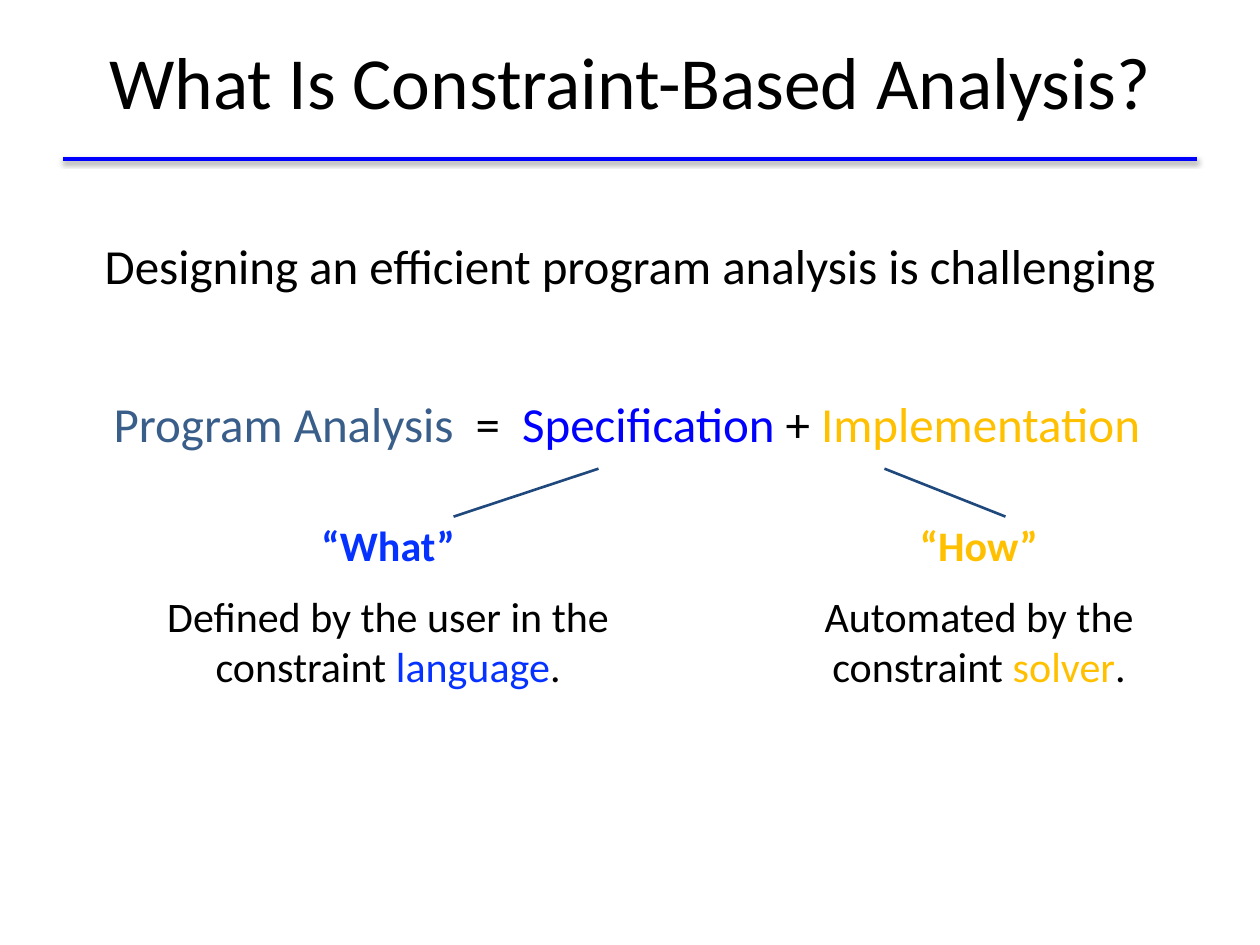
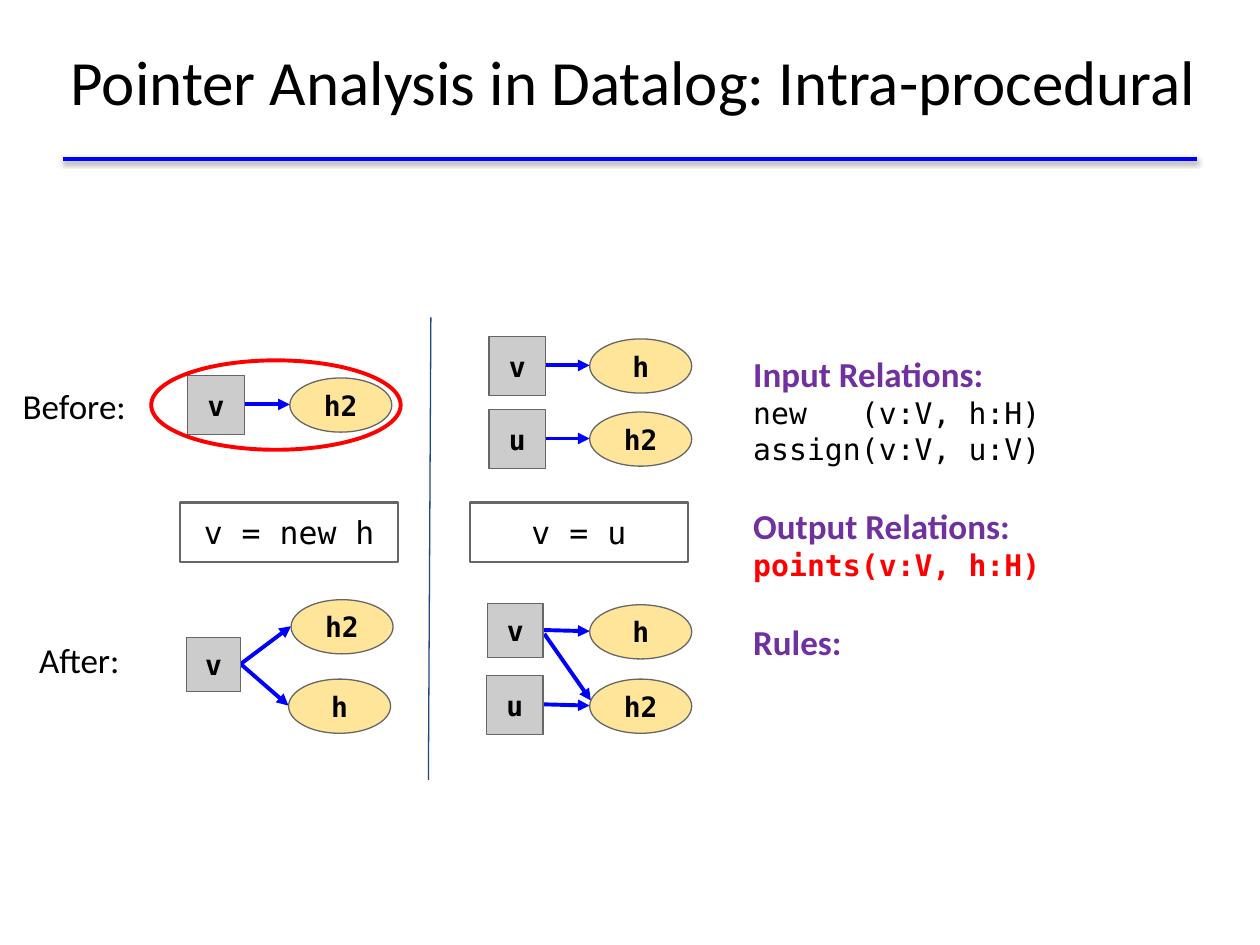
"""Build two slides on constraint-based analysis and pointer analysis in Datalog."""
import lxml.etree
import pptx
import pptx.dml.color
import pptx.enum.shapes
import pptx.enum.text
import pptx.oxml
import pptx.oxml.ns
import pptx.util

PX = 9144
RGB = pptx.dml.color.RGBColor
BLACK = RGB(0x00, 0x00, 0x00)
WHITE = RGB(0xFF, 0xFF, 0xFF)
BLUE = RGB(0x00, 0x00, 0xFF)
LANGUAGE_BLUE = RGB(0x05, 0x32, 0xFF)
STEEL = RGB(0x39, 0x5E, 0x8A)
NAVY = RGB(0x1F, 0x49, 0x7D)
GOLD = RGB(0xFF, 0xC0, 0x00)
RED = RGB(0xFF, 0x00, 0x00)
PURPLE = RGB(0x70, 0x30, 0xA0)
VARIABLE_GRAY = RGB(0xCC, 0xCC, 0xCC)
HEAP_YELLOW = RGB(0xFF, 0xE5, 0x99)
OUTLINE = RGB(0x66, 0x66, 0x66)

SHAPE = pptx.enum.shapes.MSO_SHAPE
ALIGN = pptx.enum.text.PP_ALIGN
ANCHOR = pptx.enum.text.MSO_ANCHOR
Pt = pptx.util.Pt
SANS, MONO = "Calibri", "DejaVu Sans Mono"
FORMATS = {
    "long title": {"name": SANS, "size": Pt(36), "bold": False},
    "title": {"name": SANS, "size": Pt(42), "bold": False},
    "statement": {"name": SANS, "size": Pt(28), "bold": False},
    "role": {"name": SANS, "size": Pt(24), "bold": True},
    "detail": {"name": SANS, "size": Pt(24), "bold": False},
    "stage": {"name": SANS, "size": Pt(20), "bold": False},
    "heading": {"name": SANS, "size": Pt(20), "bold": True},
    "relation": {"name": MONO, "size": Pt(17), "bold": False},
    "output": {"name": MONO, "size": Pt(17), "bold": True},
    "node": {"name": MONO, "size": Pt(16), "bold": True},
    "code": {"name": MONO, "size": Pt(18), "bold": False},
}
SHADOW = (
    '<a:outerShdw {} blurRad="40000" dist="20000" dir="5400000" rotWithShape="0">'
    '<a:srgbClr val="000000"><a:alpha val="38000"/></a:srgbClr></a:outerShdw>'
).format(pptx.oxml.ns.nsdecls("a"))


def write(shape, paragraphs, align=ALIGN.CENTER, anchor=ANCHOR.TOP, inset=10):
    frame = shape.text_frame
    settings = {"word_wrap": True, "auto_size": pptx.enum.text.MSO_AUTO_SIZE.NONE,
                "vertical_anchor": anchor, "margin_left": 10 * PX, "margin_right": 10 * PX,
                "margin_top": inset * PX, "margin_bottom": inset * PX}
    for attribute, value in settings.items():
        setattr(frame, attribute, value)
    for index, (gap, runs) in enumerate(paragraphs):
        paragraph = frame.add_paragraph() if index else frame.paragraphs[0]
        paragraph.alignment = align
        paragraph.space_before = Pt(gap)
        for text, style, color in runs:
            run = paragraph.add_run()
            run.text = text
            for attribute, value in FORMATS[style].items():
                setattr(run.font, attribute, value)
            run.font.color.rgb = color


def connect(slide, ends, color, width, arrow=False, shadow=False):
    line = slide.shapes.add_connector(
        pptx.enum.shapes.MSO_CONNECTOR.STRAIGHT, *(end * PX for end in ends))
    line.line.color.rgb = color
    line.line.width = Pt(width)
    if arrow:
        tail = lxml.etree.SubElement(line.line._get_or_add_ln(), pptx.oxml.ns.qn("a:tailEnd"))
        tail.set("type", "triangle")
    effects = lxml.etree.SubElement(line.element.spPr, pptx.oxml.ns.qn("a:effectLst"))
    if shadow:
        effects.append(pptx.oxml.parse_xml(SHADOW))
    return line


deck = pptx.Presentation()
deck.slide_width, deck.slide_height = 1000 * PX, 750 * PX
overview = deck.slides.add_slide(deck.slide_layouts[1])
pointers = deck.slides.add_slide(deck.slide_layouts[5])

title_rule = connect(overview, (50, 126, 950, 126), BLUE, 2, shadow=True)
deck.slide_master.placeholders[0].element.getparent().append(title_rule.element)

for slide, text, style, left, width in (
    (overview, "What Is Constraint-Based Analysis?", "title", 50, 900),
    (pointers, "Pointer Analysis in Datalog: Intra-procedural", "long title", 40, 925),
):
    title = slide.shapes.title
    title.left, title.top, title.width, title.height = left * PX, PX, width * PX, 125 * PX
    write(title, [(0, [(text, style, BLACK)])], anchor=ANCHOR.MIDDLE, inset=5)

challenge = overview.placeholders[1]
challenge.left, challenge.top, challenge.width, challenge.height = 50 * PX, 175 * PX, 900 * PX, 70 * PX
challenge_format = challenge.text_frame.paragraphs[0]._p.get_or_add_pPr()
challenge_format.set("marL", "0")
challenge_format.set("indent", "0")
lxml.etree.SubElement(challenge_format, pptx.oxml.ns.qn("a:buNone"))
write(challenge, [(0, [("Designing an efficient program analysis is challenging", "statement", BLACK)])], inset=5)
challenge.text_frame.paragraphs[0].line_spacing = 1.15

equation = [("Program Analysis  ", "statement", STEEL), ("=  ", "statement", BLACK),
            ("Specification", "statement", BLUE), (" + ", "statement", BLACK),
            ("Implementation", "statement", GOLD)]
write(overview.shapes.add_textbox(73 * PX, 302 * PX, 849 * PX, 67 * PX), [(0, equation)])

for role, detail, keyword, color, left, width, branch in (
    ("“What”", "Defined by the user in the constraint ", "language", LANGUAGE_BLUE, 59, 498,
     (475, 372, 360, 410)),
    ("“How”", "Automated by the constraint ", "solver", GOLD, 590, 374, (702, 372, 798, 410)),
):
    connect(overview, branch, NAVY, 1.5)
    write(overview.shapes.add_textbox(left * PX, 402 * PX, width * PX, 166 * PX), [
        (0, [(role, "role", color)]),
        (12, [(detail, "detail", BLACK), (keyword, "detail", color), (".", "detail", BLACK)]),
    ])

HEAP_SIZE = (81, 43)
STATES = [
    (("v", 149, 298, 45, 47), [("h2", 230, 300)]),
    (("v", 148, 506, 43, 43), [("h2", 231, 476), ("h", 229, 539)]),
    (("v", 388, 267, 45, 47), [("h", 468, 269)]),
    (("u", 388, 325, 45, 47), [("h2", 468, 327)]),
    (("v", 387, 479, 44, 43), [("h", 468, 480)]),
    (("u", 386, 536, 45, 47), [("h2", 468, 539)]),
]
nodes = [("v = new h", 143, 399, 173, 47, SHAPE.RECTANGLE, WHITE, 1.5, "code"),
         ("v = u", 373, 399, 173, 47, SHAPE.RECTANGLE, WHITE, 1.5, "code")]
for variable, heaps in STATES:
    name, left, top, width, height = variable
    nodes.append((*variable, SHAPE.RECTANGLE, VARIABLE_GRAY, 0.75, "node"))
    for heap in heaps:
        nodes.append((*heap, *HEAP_SIZE, SHAPE.OVAL, HEAP_YELLOW, 0.75, "node"))
        connect(pointers, (left + width, top + height // 2, heap[1], heap[2] + HEAP_SIZE[1] // 2),
                BLUE, 2.25, arrow=True)
connect(pointers, (432, 503, 469, 556), BLUE, 2.25, arrow=True)

for text, left, top, width, height, outline, fill, weight, style in nodes:
    node = pointers.shapes.add_shape(outline, left * PX, top * PX, width * PX, height * PX)
    node.shadow.inherit = False
    node.fill.solid()
    node.fill.fore_color.rgb = fill
    node.line.color.rgb = OUTLINE
    node.line.width = Pt(weight)
    write(node, [(0, [(text, style, BLACK)])], anchor=ANCHOR.MIDDLE)

highlight = pointers.shapes.add_shape(SHAPE.OVAL, 120 * PX, 286 * PX, 198 * PX, 71 * PX)
highlight.shadow.inherit = False
highlight.fill.background()
highlight.line.color.rgb = RED
highlight.line.width = Pt(2.25)
connect(pointers, (342, 252, 340, 619), NAVY, 0.75)

for stage, left, top, width, height in (("Before:", 1, 295, 116, 65), ("After:", 0, 497, 126, 71)):
    write(pointers.shapes.add_textbox(left * PX, top * PX, width * PX, height * PX),
          [(0, [(stage, "stage", BLACK)])])

relations = [
    (0, "Input Relations:", "heading", PURPLE),
    (0, "new   (v:V, h:H)", "relation", BLACK),
    (0, "assign(v:V, u:V)", "relation", BLACK),
    (22, "Output Relations:", "heading", PURPLE),
    (0, "points(v:V, h:H)", "output", RED),
    (22, "Rules:", "heading", PURPLE),
]
write(pointers.shapes.add_textbox(588 * PX, 270 * PX, 376 * PX, 395 * PX),
      [(gap, [tuple(run)]) for gap, *run in relations], align=ALIGN.LEFT)

deck.save("out.pptx")
